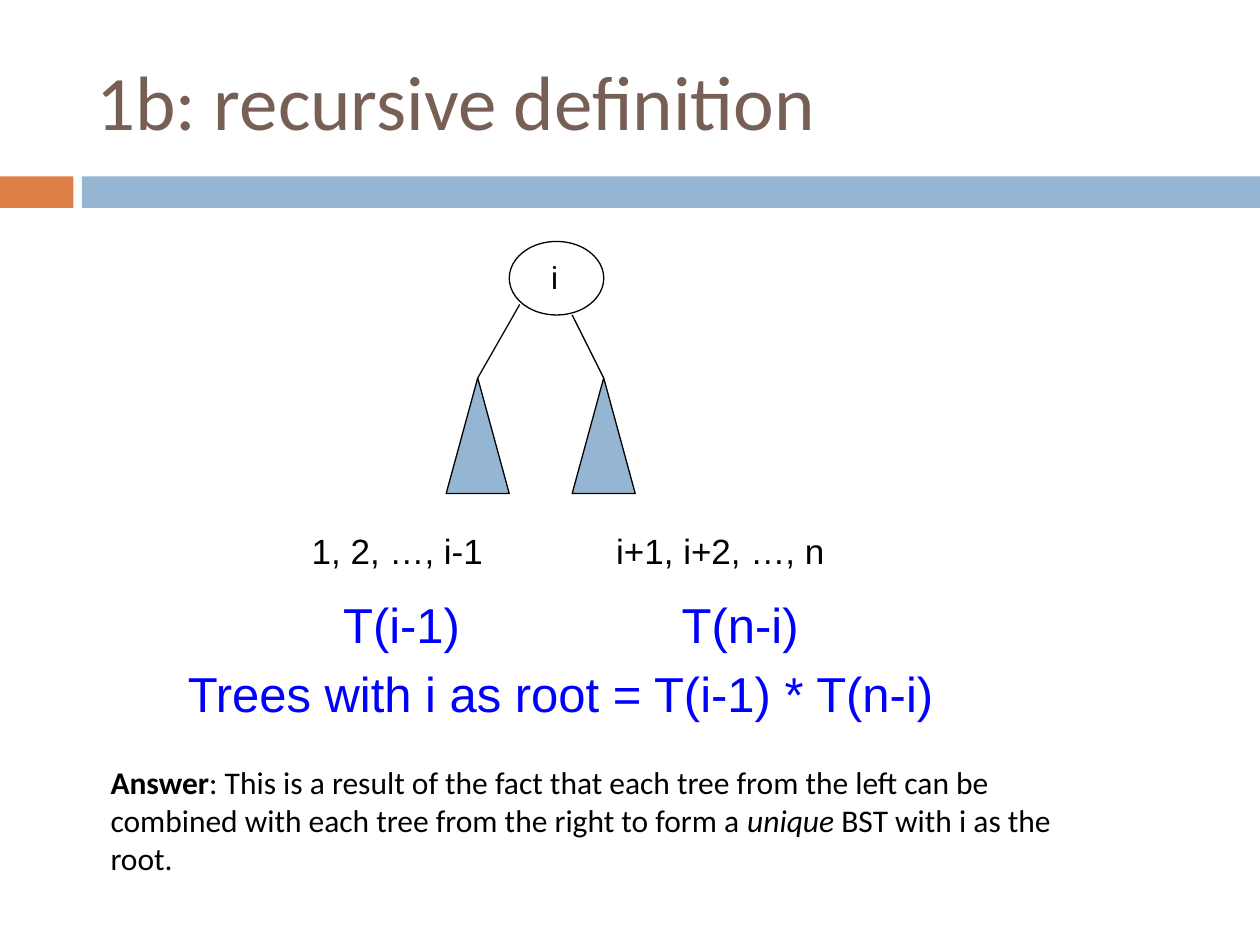
"""Build the slide on the recursive definition of a search tree count."""
from lxml import etree
from pptx import Presentation
from pptx.dml.color import RGBColor
from pptx.enum.shapes import MSO_CONNECTOR, MSO_SHAPE
from pptx.enum.text import MSO_ANCHOR, MSO_AUTO_SIZE, PP_ALIGN
from pptx.oxml.ns import qn
from pptx.util import Inches, Pt

RECT, OVAL, TRI = MSO_SHAPE.RECTANGLE, MSO_SHAPE.OVAL, MSO_SHAPE.ISOSCELES_TRIANGLE
LINE = MSO_CONNECTOR.STRAIGHT
LEFT, MIDDLE, FIXED = PP_ALIGN.LEFT, MSO_ANCHOR.MIDDLE, MSO_AUTO_SIZE.NONE
ORANGE = RGBColor(0xDD, 0x80, 0x47)
STEEL = RGBColor(0x94, 0xB6, 0xD2)
BROWN = RGBColor(0x77, 0x5F, 0x55)
BLACK = RGBColor(0, 0, 0)
BLUE = RGBColor(0, 0, 0xFF)

deck = Presentation()
deck.slide_width, deck.slide_height = Inches(10), Inches(7.5)
unit = deck.slide_width / 240
slide = deck.slides.add_slide(deck.slide_layouts[5])
shapes = slide.shapes


def grid(*cells):
    return [round(cell * unit) for cell in cells]


def write(frame, runs, size, font, color):
    frame.word_wrap = True
    frame.auto_size = FIXED
    para = frame.paragraphs[0]
    para.alignment = LEFT
    for text, bold, slant in runs:
        run = para.add_run()
        run.text = text
        run.font.size, run.font.name = Pt(size), font
        run.font.bold, run.font.italic = bold, slant
        run.font.color.rgb = color


for left, width, color in [(0, 14, ORANGE), (15.6, 224.4, STEEL)]:
    band = shapes.add_shape(RECT, *grid(left, 33.6, width, 6))
    band.shadow.inherit = False
    band.fill.solid()
    band.fill.fore_color.rgb = color
    band.line.fill.background()

title = shapes.title
title.left, title.top, title.width, title.height = grid(16, 6, 214, 26)
title.text_frame.vertical_anchor = MIDDLE
write(title.text_frame, [("1b: recursive definition", False, False)], 44, "Calibri", BROWN)

root = shapes.add_shape(OVAL, *grid(97, 46, 18, 14))
root.shadow.inherit = False
root.fill.background()
root.line.color.rgb, root.line.width = BLACK, Pt(0.75)

for left, start in [(85, (99, 58)), (109, (109, 60))]:
    tree = shapes.add_shape(TRI, *grid(left, 72, 12, 22))
    tree.shadow.inherit = False
    tree.fill.solid()
    tree.fill.fore_color.rgb = STEEL
    edge = shapes.add_connector(LINE, *grid(*start, left + 6, 72))
    edge.end_connect(tree, 0)
    etree.SubElement(edge._element.spPr, qn("a:effectLst"))
    for item in (tree, edge):
        item.line.color.rgb, item.line.width = BLACK, Pt(0.75)

answer = [
    ("Answer", True, False),
    (": This is a result of the fact that each tree from the left can be "
     "combined with each tree from the right to form a ", False, False),
    ("unique", False, True),
    (" BST with i as the root.", False, False),
]
labels = [
    ((102.6, 48, 14.5, 9.6), "i", 18, BLACK),
    ((57, 99.6, 42, 10.4), "1, 2, …, i-1", 20, BLACK),
    ((115, 99.6, 52, 10.4), "i+1, i+2, …, n", 20, BLACK),
    ((63, 112, 28, 13.7), "T(i-1)", 28, BLUE),
    ((127.5, 112, 34, 13.7), "T(n-i)", 28, BLUE),
    ((33.4, 125.2, 157.2, 13.7), "Trees with i as root = T(i-1) * T(n-i)", 28, BLUE),
]
for cells, text, size, color in labels:
    box = shapes.add_textbox(*grid(*cells))
    write(box.text_frame, [(text, False, False)], size, "Arial", color)

note = shapes.add_textbox(*grid(18.7, 144.2, 196.5, 17))
write(note.text_frame, answer, 18, "Calibri", BLACK)

deck.save("out.pptx")
